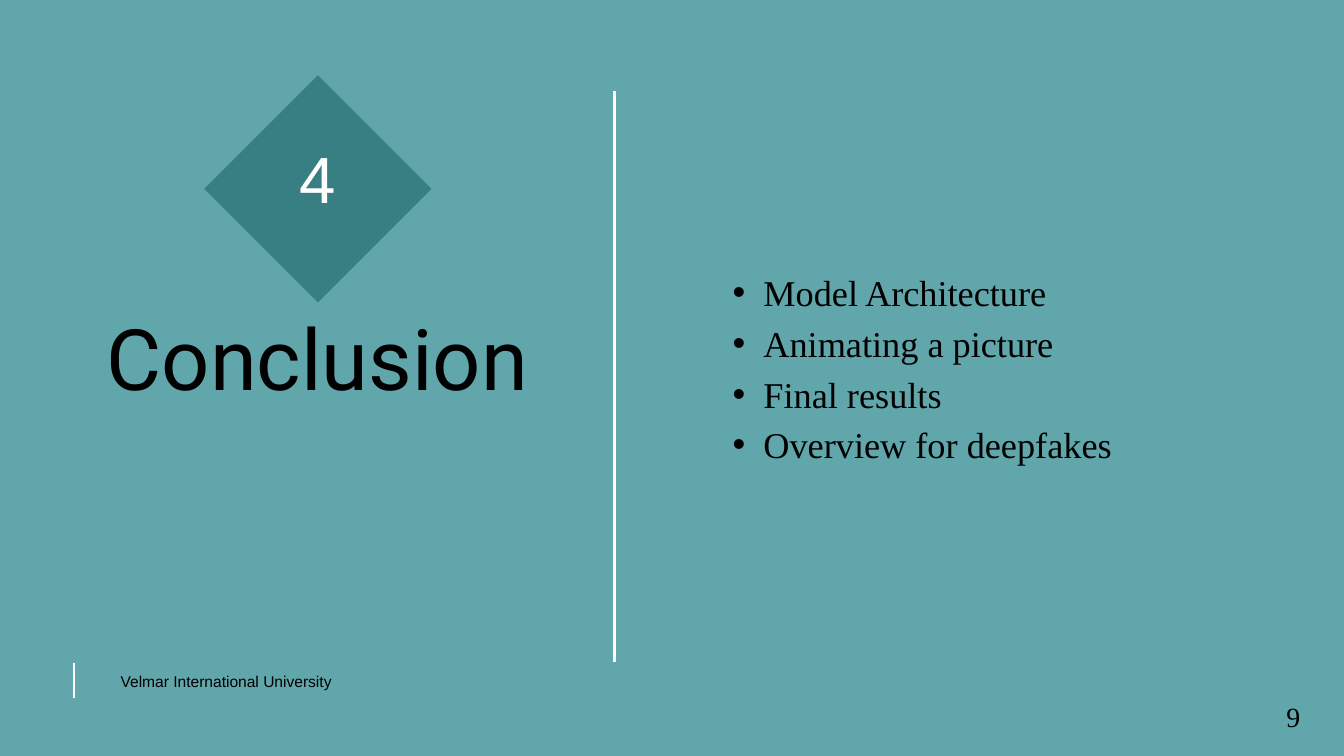
from lxml.etree import SubElement
from pptx import Presentation
from pptx.dml.color import RGBColor
from pptx.enum.shapes import MSO_CONNECTOR, MSO_SHAPE
from pptx.enum.text import MSO_ANCHOR, PP_ALIGN
from pptx.oxml.ns import qn
from pptx.util import Inches, Pt

BACKGROUND = RGBColor(0x61, 0xA6, 0xAB)
DARK_TEAL = RGBColor(0x38, 0x7F, 0x84)
WHITE = RGBColor(0xFF, 0xFF, 0xFF)
BLACK = RGBColor(0x00, 0x00, 0x00)

TOPICS = ["Model Architecture", "Animating a picture", "Final results",
          "Overview for deepfakes"]


def place(shape, box):
    shape.left, shape.top, shape.width, shape.height = map(Inches, box)


def prepare_frame(shape, inset=0, anchor=MSO_ANCHOR.TOP):
    frame = shape.text_frame
    frame.word_wrap = True
    frame.vertical_anchor = anchor
    frame.margin_left = frame.margin_right = Inches(inset)
    frame.margin_top = frame.margin_bottom = Inches(inset)
    return frame


def write(paragraph, text, font, size, leading, color=BLACK, align=PP_ALIGN.CENTER):
    paragraph.alignment = align
    paragraph.line_spacing = Pt(leading)
    paragraph.space_before = paragraph.space_after = Pt(0)
    run = paragraph.add_run()
    run.text = text
    run.font.name = font
    run.font.size = Pt(size)
    run.font.color.rgb = color


def add_label(shapes, box, text, font, size, leading, color=BLACK,
              inset=0, anchor=MSO_ANCHOR.TOP):
    shape = shapes.add_textbox(*map(Inches, box))
    frame = prepare_frame(shape, inset, anchor)
    write(frame.paragraphs[0], text, font, size, leading, color)


def add_vertical_rule(slide, x, top, bottom):
    rule = slide.shapes.add_connector(
        MSO_CONNECTOR.STRAIGHT, Inches(x), Inches(top), Inches(x), Inches(bottom))
    rule.line.color.rgb = WHITE
    rule.line.width = Pt(3)
    SubElement(rule._element.spPr, qn("a:effectLst"))


def add_section_number(slide, box, number):
    left, top, width, height = box
    group = slide.shapes.add_group_shape()
    diamond = group.shapes.add_shape(MSO_SHAPE.DIAMOND, *map(Inches, box))
    diamond.shadow.inherit = False
    diamond.fill.solid()
    diamond.fill.fore_color.rgb = DARK_TEAL
    diamond.line.fill.background()
    # The number sits slightly above the centre of the diamond
    add_label(group.shapes, (left + 0.58, top + 0.03, width - 1.17, height - 0.61),
              number, "Arial", 70, 98, WHITE, 0.06, MSO_ANCHOR.MIDDLE)


def add_title(slide, box, text):
    title = slide.shapes.title
    place(title, box)
    write(prepare_frame(title).paragraphs[0], text, "Roboto", 90.8, 127.2)


def add_topics(slide, box, topics):
    shape = slide.shapes.add_textbox(*map(Inches, box))
    frame = prepare_frame(shape)
    for index, topic in enumerate(topics):
        paragraph = frame.add_paragraph() if index else frame.paragraphs[0]
        write(paragraph, topic, "Times New Roman", 38.9, 54.5, align=PP_ALIGN.LEFT)
        paragraph.level = 1
        properties = paragraph._p.get_or_add_pPr()
        properties.set("marL", str(Inches(0.92)))
        properties.set("indent", str(Inches(-0.46)))
        SubElement(properties, qn("a:buFont"), typeface="Arial")
        SubElement(properties, qn("a:buChar"), char="•")


def add_footer(slide, box, institution, page):
    left, top, width, height = box
    add_vertical_rule(slide, left, top, top + 0.53)
    add_label(slide.shapes, (left + 0.17, top + 0.09, 4.19, 0.32),
              institution, "Arial", 16.7, 23.4)
    add_label(slide.shapes, (left + width - 0.27, top + height - 0.55, 0.27, 0.55),
              page, "Times New Roman", 29.8, 41.8)


def main():
    presentation = Presentation()
    presentation.slide_width = Inches(20)
    presentation.slide_height = Inches(11.25)
    slide = presentation.slides.add_slide(presentation.slide_layouts[5])
    slide.background.fill.solid()
    slide.background.fill.fore_color.rgb = BACKGROUND

    # Left: section number and title
    add_section_number(slide, (3.04, 1.12, 3.38, 3.38), "4")
    add_title(slide, (0.75, 4.3, 7.95, 1.71), "Conclusion")

    # Divider and topics on the right
    add_vertical_rule(slide, 9.15, 1.36, 9.85)
    add_topics(slide, (10.44, 3.91, 7.92, 2.96), TOPICS)

    # Footer
    add_footer(slide, (1.1, 9.86, 18.28, 1.02), "Velmar International University", "9")
    presentation.save("out.pptx")


if __name__ == "__main__":
    main()
